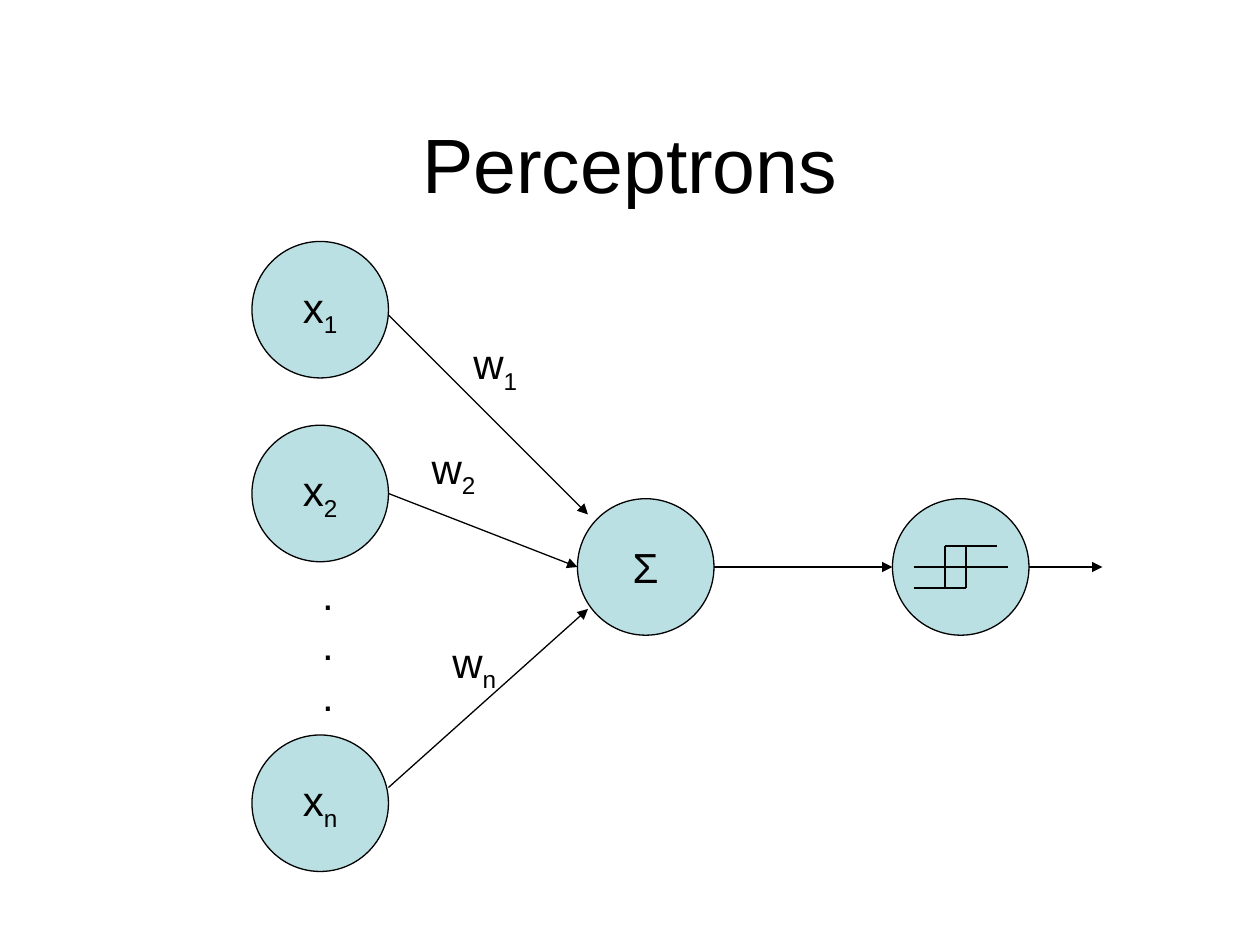
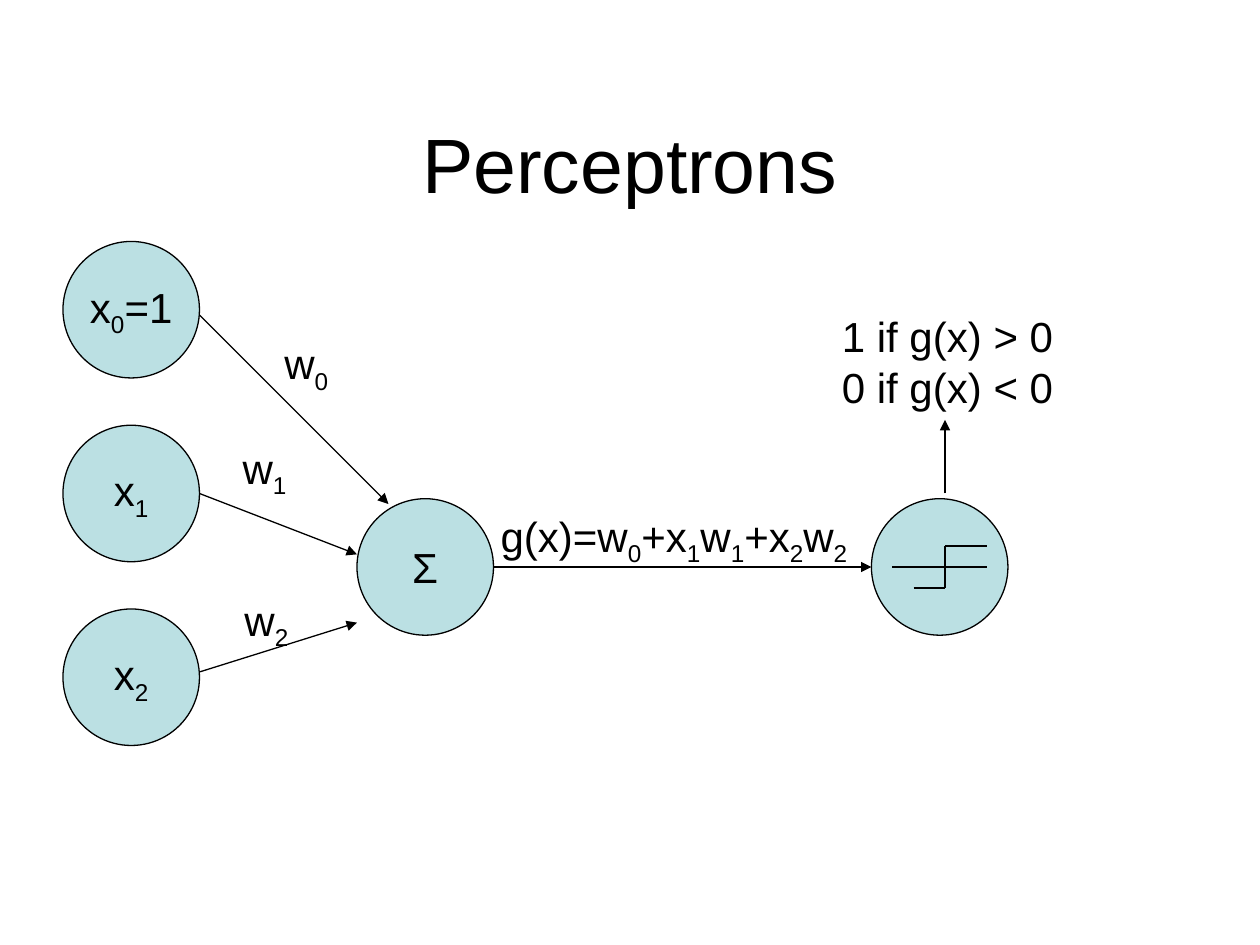
from collections import namedtuple
from dataclasses import dataclass

from lxml.etree import SubElement
from pptx import Presentation
from pptx.dml.color import RGBColor
from pptx.enum.shapes import MSO_CONNECTOR as Connector, MSO_SHAPE as Preset
from pptx.enum.text import MSO_ANCHOR as Anchor, MSO_AUTO_SIZE as AutoSize, PP_ALIGN as Align
from pptx.oxml.ns import qn
from pptx.util import Inches, Pt


@dataclass(frozen=True)
class Theme:
    font: str = "Arial"
    ink: RGBColor = RGBColor.from_string("000000")
    node: RGBColor = RGBColor.from_string("BBE0E3")
    title_size: int = 44
    body_size: int = 24
    line_width: float = 0.75
    subscript: str = "-25000"


THEME = Theme()
COLUMNS, ROWS, CELLS_PER_INCH = 120, 90, 12
NODE = 13
MIDDLE = NODE / 2
NODE_ROW = 47.5
LABEL = (6.6, 6.7)

Input = namedtuple("Input", "name weight row start tip label")


@dataclass(frozen=True)
class Box:
    left: float
    top: float
    width: float = NODE
    height: float = NODE

    def point(self, column, row):
        return self.left + column, self.top + row

    def inside(self, column, row, width=NODE, height=NODE):
        return Box(*self.point(column, row), width, height)

    def lengths(self):
        return [cells(n) for n in (self.left, self.top, self.width, self.height)]


def cells(count):
    return Inches(count / CELLS_PER_INCH)


def add_run(paragraph, words, size, subscript=False):
    run = paragraph.add_run()
    run.text = words
    run.font.name = THEME.font
    run.font.size = Pt(size)
    run.font.color.rgb = THEME.ink
    if subscript:
        run._r.get_or_add_rPr().set("baseline", THEME.subscript)


def write(shape, text, size=THEME.body_size, align=Align.LEFT, anchor=Anchor.TOP,
          wrap=False, grow=False):
    frame = shape.text_frame
    frame.word_wrap = wrap
    frame.vertical_anchor = anchor
    frame.auto_size = AutoSize.SHAPE_TO_FIT_TEXT if grow else AutoSize.NONE
    for number, line in enumerate(text.split("\n")):
        paragraph = frame.add_paragraph() if number else frame.paragraphs[0]
        paragraph.alignment = align
        start, *subscripted = line.split("_")
        if start:
            add_run(paragraph, start, size)
        for piece in subscripted:
            add_run(paragraph, piece[0], size, subscript=True)
            if piece[1:]:
                add_run(paragraph, piece[1:], size)


def add_label(slide, box, text, wrap=False):
    write(slide.shapes.add_textbox(*box.lengths()), text, wrap=wrap, grow=True)


def add_title(slide, box, text):
    write(slide.shapes.add_textbox(*box.lengths()), text, size=THEME.title_size,
          align=Align.CENTER, anchor=Anchor.MIDDLE, wrap=True)


def add_node(slide, box, text=""):
    node = slide.shapes.add_shape(Preset.OVAL, *box.lengths())
    node.shadow.inherit = False
    node.fill.solid()
    node.fill.fore_color.rgb = THEME.node
    node.line.color.rgb = THEME.ink
    node.line.width = Pt(THEME.line_width)
    if text:
        write(node, text, align=Align.CENTER, anchor=Anchor.MIDDLE)


def add_line(slide, start, end, arrow=False):
    ends = [cells(n) for n in (*start, *end)]
    line = slide.shapes.add_connector(Connector.STRAIGHT, *ends)
    line.line.color.rgb = THEME.ink
    line.line.width = Pt(THEME.line_width)
    if arrow:
        SubElement(line.line._get_or_add_ln(), qn("a:tailEnd"), type="triangle")
    SubElement(line._element.spPr, qn("a:effectLst"))


def add_inputs(slide, box, inputs):
    for item in inputs:
        add_node(slide, box.inside(0, item.row), item.name)
        add_line(slide, box.point(NODE, item.start), box.point(*item.tip), arrow=True)
        add_label(slide, box.inside(*item.label, *LABEL), item.weight)


def add_threshold(slide, box, risers, foot, head):
    low, high = 8.5, 4.5
    axis_start = risers[-1] - 5 if len(risers) > 1 else 2
    add_node(slide, box)
    strokes = [((axis_start, MIDDLE), (11, MIDDLE)),
               ((risers[0], high), (head, high)),
               ((foot, low), (risers[-1], low))]
    strokes += [((riser, high), (riser, low)) for riser in risers]
    for start, end in strokes:
        add_line(slide, box.point(*start), box.point(*end))


def add_perceptron(prs, inputs, inputs_left, sum_left, threshold_left, step):
    slide = prs.slides.add_slide(prs.slide_layouts[6])
    add_title(slide, Box(9, 8, COLUMNS - 2 * 9, 15), "Perceptrons")
    input_area = Box(inputs_left, 23, NODE, ROWS - 23)
    total = Box(sum_left, NODE_ROW)
    threshold = Box(threshold_left, NODE_ROW)
    add_inputs(slide, input_area, inputs)
    add_node(slide, total, "Σ")
    add_threshold(slide, threshold, **step)
    add_line(slide, total.point(NODE, MIDDLE), threshold.point(0, MIDDLE), arrow=True)
    return slide, input_area, total, threshold


def add_general_slide(prs):
    inputs = [
        Input("x_1", "w_1", 0, 7, (32, 26), (19.9, 8.6)),
        Input("x_2", "w_2", 17.5, 24, (31, 31), (15.92, 18.55)),
        Input("x_n", "w_n", 47, 52, (32, 35), (17.9, 37)),
    ]
    slide, input_area, _, threshold = add_perceptron(
        prs, inputs, inputs_left=24, sum_left=55, threshold_left=85,
        step=dict(risers=(5, 7), foot=2, head=10))
    add_label(slide, input_area.inside(5.5, 30.55, 3.5, 15.6), ".\n.\n.")
    add_line(slide, threshold.point(NODE, MIDDLE), threshold.point(20, MIDDLE), arrow=True)


def add_two_input_slide(prs):
    inputs = [
        Input("x_0=1", "w_0", 0, 7, (31, 25), (19.9, 8.6)),
        Input("x_1", "w_1", 17.5, 24, (28, 29.8), (15.92, 18.55)),
        Input("x_2", "w_2", 35, 41, (28, 36.3), (16.1, 33)),
    ]
    slide, _, total, threshold = add_perceptron(
        prs, inputs, inputs_left=6, sum_left=34, threshold_left=83,
        step=dict(risers=(7,), foot=4, head=11))
    add_label(slide, total.inside(12.5, 0.5, 35.4, 6.7), "g(x)=w_0+x_1w_1+x_2w_2")
    add_line(slide, threshold.point(7, -0.5), threshold.point(7, -7.5), arrow=True)
    add_label(slide, threshold.inside(-4, -18.5, 23.5, 10.8),
              "1 if g(x) > 0\n0 if g(x) < 0", wrap=True)


def main():
    prs = Presentation()
    prs.slide_width = cells(COLUMNS)
    prs.slide_height = cells(ROWS)
    add_general_slide(prs)
    add_two_input_slide(prs)
    prs.save("out.pptx")


if __name__ == "__main__":
    main()
